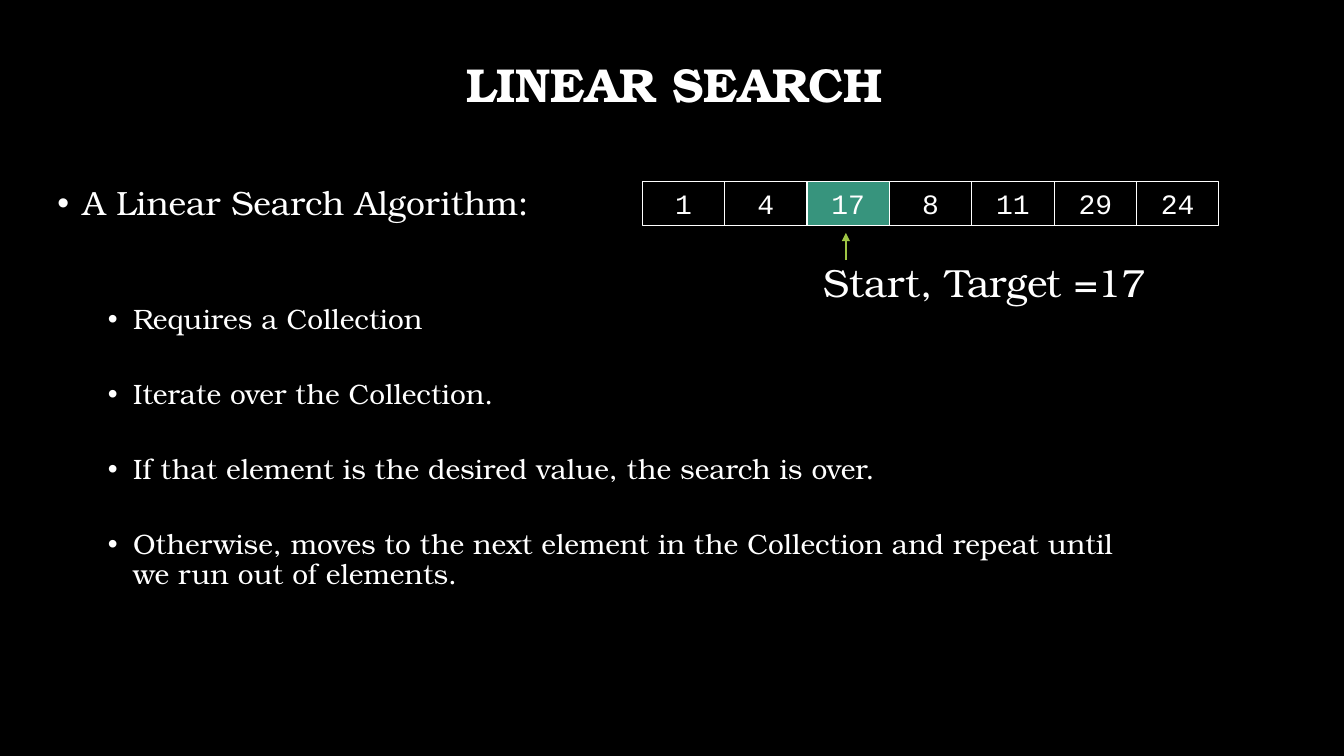
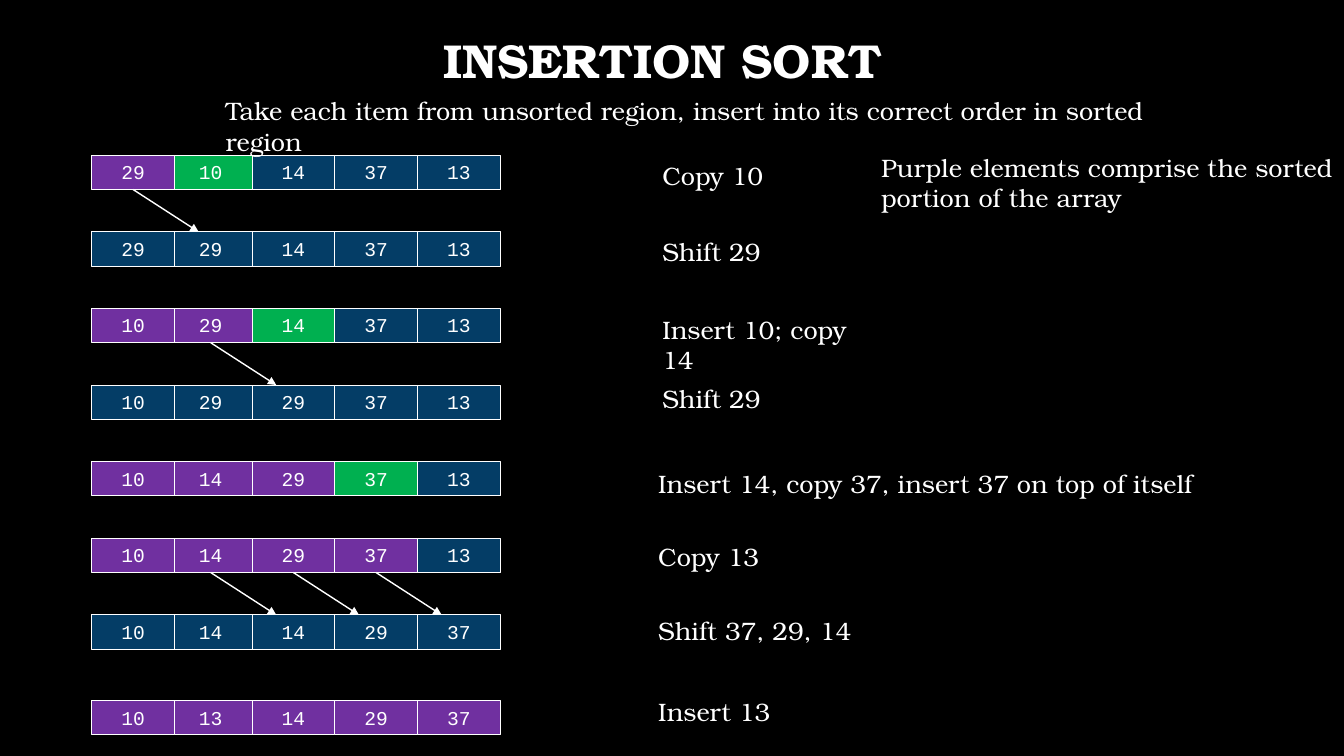
from dataclasses import dataclass

from pptx import Presentation
from pptx.dml.color import RGBColor
from pptx.enum.shapes import MSO_CONNECTOR as Connector, MSO_SHAPE as Shape
from pptx.enum.text import MSO_ANCHOR as Anchor, MSO_AUTO_SIZE as AutoSize, PP_ALIGN as Align
from pptx.oxml.ns import qn
from pptx.util import Inches, Pt
from lxml.etree import SubElement


@dataclass(frozen=True)
class Theme:
    black: str = "000000"
    white: str = "FFFFFF"
    teal: str = "37947D"
    lime: str = "9EC544"
    purple: str = "7030A0"
    green: str = "00B050"
    navy: str = "043D66"
    text_font: str = "TeX Gyre Bonum"
    cell_font: str = "Courier New"
    title_size: int = 34
    callout_size: int = 28
    lead_size: int = 24
    body_size: int = 20
    label_size: int = 18
    small_cell_size: int = 14


THEME = Theme()
SLIDE_WIDTH, SLIDE_HEIGHT = 13.33, 7.5
TITLE_WIDTH, TITLE_HEIGHT = 11.32, 1.45

# Text, level, space before in points
SEARCH_STEPS = [
    ("A Linear Search Algorithm:", 0, 0),
    ("Requires a Collection", 1, 59),
    ("Iterate over the Collection.", 1, 32),
    ("If that element is the desired value, the search is over.", 1, 32),
    ("Otherwise, moves to the next element in the Collection and repeat until "
     "we run out of elements.", 1, 32),
]
LEVEL_INDENTS = [0.25, 0.75]
LEVEL_SIZES = [THEME.lead_size, THEME.body_size]
SEARCH_VALUES = [1, 4, 17, 8, 11, 29, 24]
SEARCH_TARGET = 17
SEARCH_LEFT, SEARCH_TOP, SEARCH_WIDTH, SEARCH_HEIGHT = 6.37, 1.8, 5.72, 0.44

FILLS = {"S": THEME.purple, "C": THEME.green, "U": THEME.navy}
# Values, state of each cell (sorted, copied, unsorted), columns that shift right
SORT_ROWS = [
    ([29, 10, 14, 37, 13], "SCUUU", [0]),
    ([29, 29, 14, 37, 13], "UUUUU", []),
    ([10, 29, 14, 37, 13], "SSCUU", [1]),
    ([10, 29, 29, 37, 13], "UUUUU", []),
    ([10, 14, 29, 37, 13], "SSSCU", []),
    ([10, 14, 29, 37, 13], "SSSSU", [1, 2, 3]),
    ([10, 14, 14, 29, 37], "UUUUU", []),
    ([10, 13, 14, 29, 37], "SSSSS", []),
]
CELL_WIDTH, CELL_HEIGHT = 0.82, 0.34
COLUMN_LEFTS = [0.91] + [1.68 + CELL_WIDTH * column for column in range(4)]
ROW_TOPS = [1.54 + 0.76 * row for row in range(7)] + [6.95]
SHIFT_RUN = 0.65

# Text, left, top, width, height
SORT_LABELS = [
    ("Take each item from unsorted region, insert into its correct order in sorted region",
     2.14, 0.9, 9.79, 0.4),
    ("Copy 10", 6.47, 1.54, 2.28, 0.4),
    ("Shift 29", 6.47, 2.3, 2.28, 0.4),
    ("Insert 10; copy 14", 6.47, 3.07, 2.28, 0.4),
    ("Shift 29", 6.47, 3.75, 2.28, 0.4),
    ("Insert 14, copy 37, insert 37 on top of itself", 6.43, 4.6, 5.7, 0.4),
    ("Copy 13", 6.43, 5.32, 2.28, 0.4),
    ("Shift 37, 29, 14", 6.43, 6.06, 2.28, 0.4),
    ("Insert 13", 6.43, 6.86, 2.28, 0.4),
    ("Purple elements comprise the sorted portion of the array", 8.64, 1.46, 4.69, 0.71),
]


def color(value):
    return RGBColor.from_string(value)


def place(shape, left, top, width, height):
    shape.left, shape.top = Inches(left), Inches(top)
    shape.width, shape.height = Inches(width), Inches(height)


def format_runs(paragraph, size, font=THEME.text_font, bold=False):
    for run in paragraph.runs:
        run.font.name, run.font.size, run.font.bold = font, Pt(size), bold
        run.font.color.rgb = color(THEME.white)


def add_titled_slide(presentation, layout_index, title, left, top):
    slide = presentation.slides.add_slide(presentation.slide_layouts[layout_index])
    shape = slide.shapes.title
    place(shape, left, top, TITLE_WIDTH, TITLE_HEIGHT)
    frame = shape.text_frame
    frame.text = title
    frame.auto_size, frame.vertical_anchor = AutoSize.NONE, Anchor.MIDDLE
    paragraph = frame.paragraphs[0]
    paragraph.alignment, paragraph.line_spacing = Align.CENTER, 0.9
    format_runs(paragraph, THEME.title_size, bold=True)
    return slide


def fill_bullets(frame, items):
    frame.auto_size, frame.vertical_anchor = AutoSize.NONE, Anchor.TOP
    frame.text = "\n".join(text for text, _, _ in items)
    for paragraph, (_, level, space) in zip(frame.paragraphs, items):
        properties = paragraph._p.get_or_add_pPr()
        properties.set("marL", str(Inches(LEVEL_INDENTS[level])))
        properties.set("indent", str(Inches(-0.25)))
        SubElement(properties, qn("a:buFont")).set("typeface", "Arial")
        SubElement(properties, qn("a:buChar")).set("char", "•")
        paragraph.level, paragraph.line_spacing = level, 0.9
        paragraph.space_before = Pt(space)
        format_runs(paragraph, LEVEL_SIZES[level])


def add_label(slide, text, left, top, width, height, size=THEME.label_size):
    box = slide.shapes.add_textbox(*map(Inches, (left, top, width, height)))
    box.text_frame.word_wrap = True
    box.text_frame.text = text
    format_runs(box.text_frame.paragraphs[0], size)


def add_cell(slide, value, left, top, width, height, fill, size):
    cell = slide.shapes.add_shape(Shape.RECTANGLE, *map(Inches, (left, top, width, height)))
    cell.shadow.inherit = False
    if fill:
        cell.fill.solid()
        cell.fill.fore_color.rgb = color(fill)
    else:
        cell.fill.background()
    cell.line.color.rgb, cell.line.width = color(THEME.white), Pt(0.75)
    frame = cell.text_frame
    frame.vertical_anchor = Anchor.TOP
    frame.text = str(value)
    frame.paragraphs[0].alignment = Align.CENTER
    format_runs(frame.paragraphs[0], size, THEME.cell_font)
    return cell


def add_arrow(slide, start, end, line_color):
    arrow = slide.shapes.add_connector(Connector.STRAIGHT, *map(Inches, (*start, *end)))
    arrow.line.color.rgb, arrow.line.width = color(line_color), Pt(1)
    SubElement(arrow.line._get_or_add_ln(), qn("a:tailEnd")).set("type", "triangle")
    SubElement(arrow._element.spPr, qn("a:effectLst"))
    return arrow


def build_linear_search(presentation):
    slide = add_titled_slide(presentation, 1, "LINEAR SEARCH", 1.03, 0.14)
    body = slide.placeholders[1]
    place(body, 0.47, SEARCH_TOP, 10.8, 5.42)
    fill_bullets(body.text_frame, SEARCH_STEPS)
    width = SEARCH_WIDTH / len(SEARCH_VALUES)
    for column, value in enumerate(SEARCH_VALUES):
        add_cell(slide, value, SEARCH_LEFT + column * width, SEARCH_TOP, width, SEARCH_HEIGHT,
                 THEME.teal if value == SEARCH_TARGET else None, THEME.body_size)
    add_arrow(slide, (8.39, 2.58), (8.39, 2.31), THEME.lime)
    add_label(slide, f"Start, Target ={SEARCH_TARGET}", 8.07, 2.51, 4, 0.57, THEME.callout_size)


def build_insertion_sort(presentation):
    slide = add_titled_slide(presentation, 5, "INSERTION SORT", 0.91, -0.1)
    for row, (values, states, shifts) in enumerate(SORT_ROWS):
        top = ROW_TOPS[row]
        cells = {}
        # Right to left, so the first cell overlaps the second
        for column in reversed(range(len(values))):
            cells[column] = add_cell(slide, values[column], COLUMN_LEFTS[column], top, CELL_WIDTH,
                                     CELL_HEIGHT, FILLS[states[column]], THEME.small_cell_size)
        for column in shifts:
            middle = COLUMN_LEFTS[column] + CELL_WIDTH / 2
            arrow = add_arrow(slide, (middle, top + CELL_HEIGHT),
                              (middle + SHIFT_RUN, ROW_TOPS[row + 1]), THEME.white)
            arrow.begin_connect(cells[column], 2)
    for label in SORT_LABELS:
        add_label(slide, *label)


def main():
    presentation = Presentation()
    presentation.slide_width = Inches(SLIDE_WIDTH)
    presentation.slide_height = Inches(SLIDE_HEIGHT)
    background = presentation.slide_master.background.fill
    background.solid()
    background.fore_color.rgb = color(THEME.black)
    build_linear_search(presentation)
    build_insertion_sort(presentation)
    presentation.save("out.pptx")


if __name__ == "__main__":
    main()
